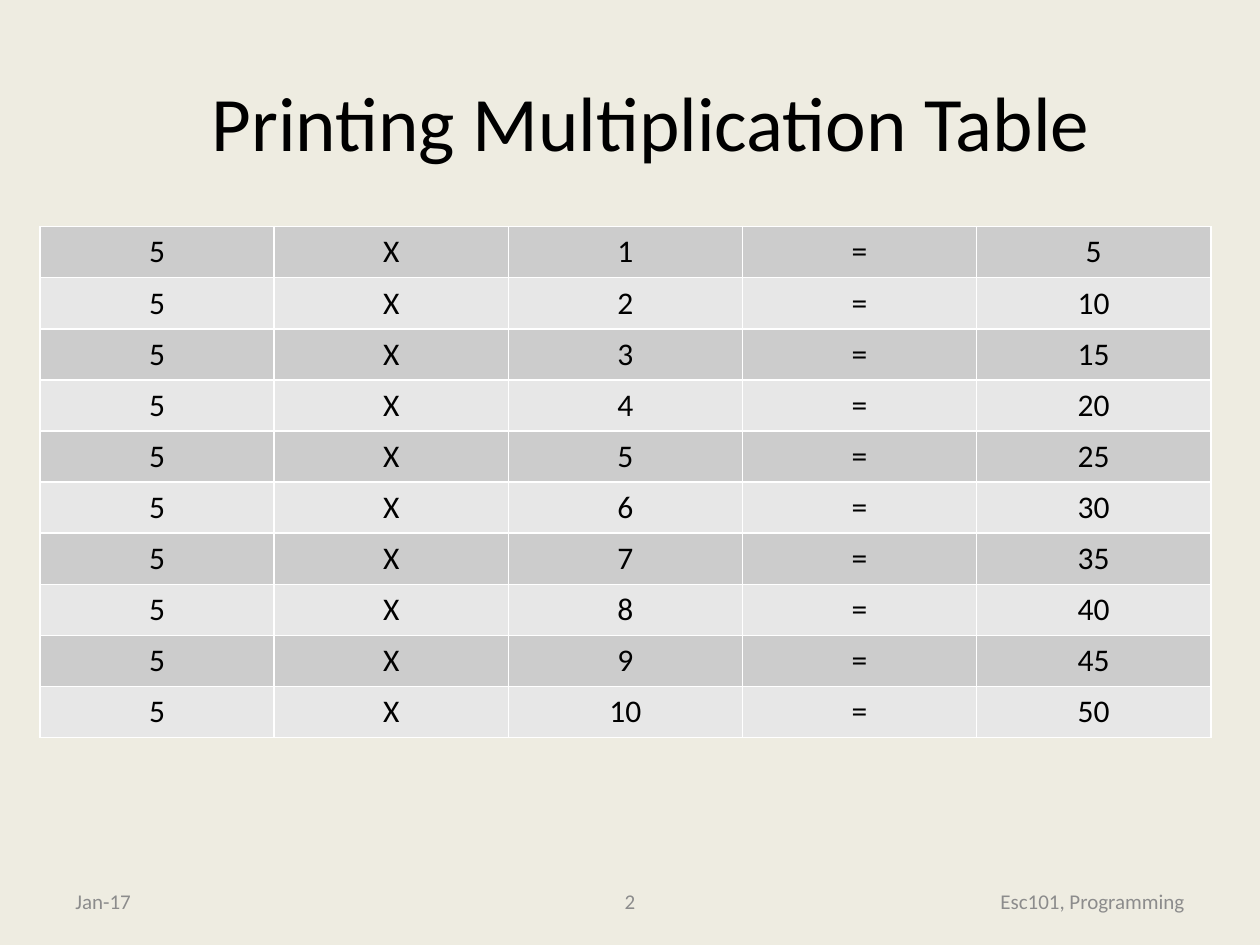
from dataclasses import dataclass

from lxml.etree import SubElement as Sub
from pptx import Presentation
from pptx.dml.color import RGBColor
from pptx.enum.text import MSO_ANCHOR as Anchor, PP_ALIGN as Align
from pptx.oxml.ns import qn
from pptx.slide import Slide
from pptx.table import _Cell as Cell
from pptx.util import Pt

FONT = "Calibri"
CREAM = RGBColor(0xEE, 0xEC, 0xE1)
BLACK = RGBColor(0, 0, 0)
WHITE = RGBColor(0xFF, 0xFF, 0xFF)
GRAY = RGBColor(0x8C, 0x8C, 0x8C)
BANDS = (RGBColor(0xCC, 0xCC, 0xCC), RGBColor(0xE7, 0xE7, 0xE7))

BASE = 5
COUNT = 10
COL_W = 133.8
ROW_H = 29.2


@dataclass
class Label:
    text: str
    left: float
    top: float
    width: float
    height: float
    size: float
    color: RGBColor
    align: Align


LABELS = (
    Label("Printing Multiplication Table", 48, 24, 648, 90, 44, BLACK, Align.CENTER),
    Label("Jan-17", 36, 500.5, 168, 28.75, 12, GRAY, Align.LEFT),
    Label("2", 246, 500.5, 228, 28.75, 12, GRAY, Align.CENTER),
    Label("Esc101, Programming", 516, 500.5, 168, 28.75, 12, GRAY, Align.RIGHT),
)


def write(frame, text: str, size: float, color: RGBColor, align: Align) -> None:
    frame.text = text
    par = frame.paragraphs[0]
    par.alignment = align
    font = par.runs[0].font
    font.name, font.size, font.color.rgb = FONT, Pt(size), color


def add_label(slide: Slide, item: Label) -> None:
    box = slide.shapes.add_textbox(
        Pt(item.left), Pt(item.top), Pt(item.width), Pt(item.height))
    frame = box.text_frame
    frame.word_wrap = True
    frame.vertical_anchor = Anchor.MIDDLE
    write(frame, item.text, item.size, item.color, item.align)


def add_edges(cell: Cell) -> None:
    props = cell._tc.get_or_add_tcPr()
    for side in ("lnL", "lnR", "lnT", "lnB"):
        line = Sub(props, qn(f"a:{side}"), w=str(Pt(1)))
        fill = Sub(line, qn("a:solidFill"))
        Sub(fill, qn("a:srgbClr"), val=str(WHITE))


def add_grid(slide: Slide, rows: list[tuple]) -> None:
    cols = len(rows[0])
    table = slide.shapes.add_table(
        len(rows), cols, Pt(22.9), Pt(129.5),
        Pt(COL_W * cols), Pt(ROW_H * len(rows))).table
    table.first_row = table.horz_banding = False
    for col in table.columns:
        col.width = Pt(COL_W)
    for i, row in enumerate(rows):
        table.rows[i].height = Pt(ROW_H)
        for j, value in enumerate(row):
            cell = table.cell(i, j)
            add_edges(cell)
            cell.fill.solid()
            cell.fill.fore_color.rgb = BANDS[i % 2]
            write(cell.text_frame, str(value), 18, BLACK, Align.CENTER)


def main() -> None:
    deck = Presentation()
    deck.slide_width, deck.slide_height = Pt(720), Pt(540)
    slide = deck.slides.add_slide(deck.slide_layouts[6])

    # Background
    back = slide.background.fill
    back.solid()
    back.fore_color.rgb = CREAM

    # Multiplication table
    add_grid(slide, [(BASE, "X", n, "=", BASE * n) for n in range(1, COUNT + 1)])

    # Title and footer
    for item in LABELS:
        add_label(slide, item)

    deck.save("out.pptx")


if __name__ == "__main__":
    main()
